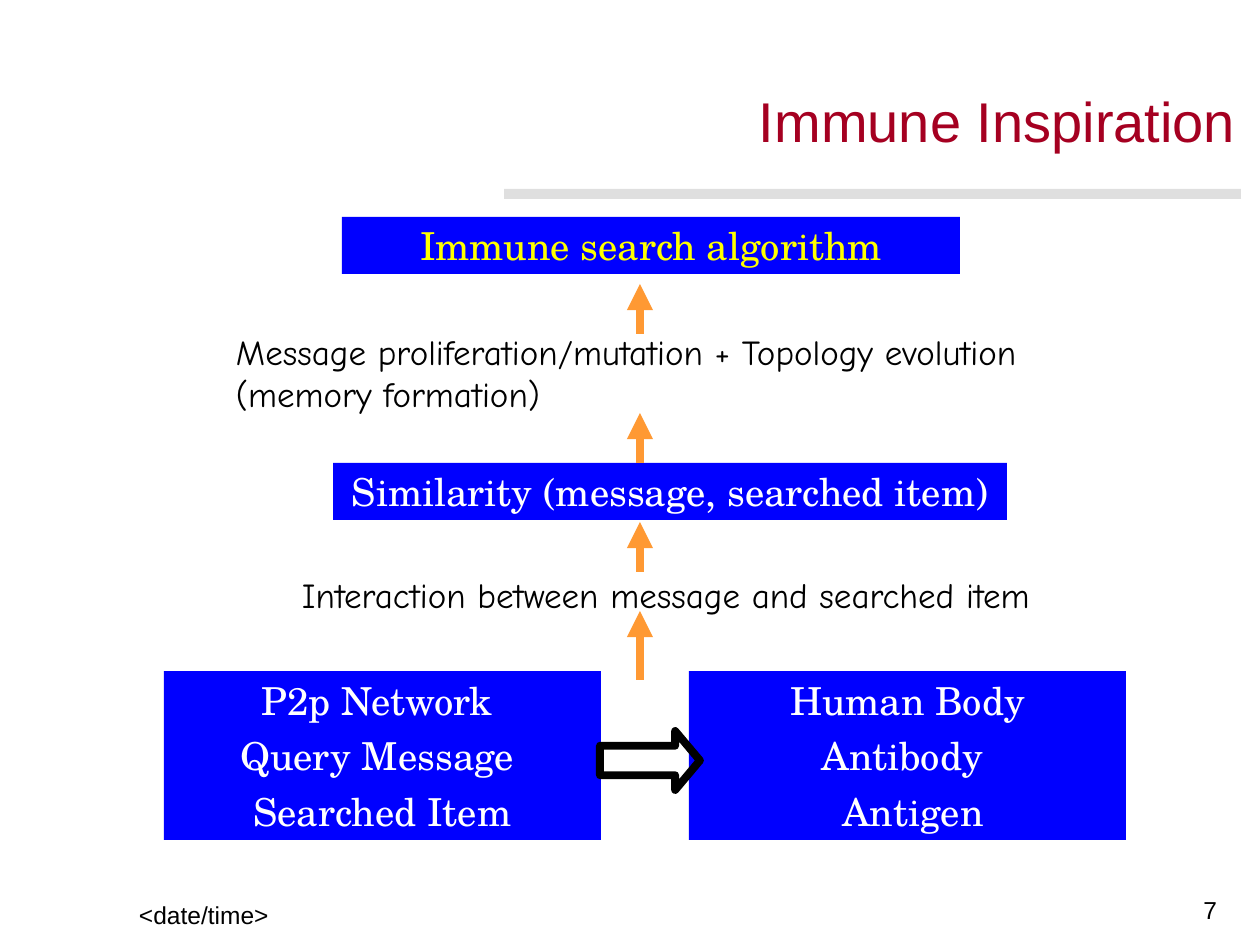
from lxml import etree
from pptx import Presentation
from pptx import util as u
from pptx.dml.color import RGBColor
from pptx.enum import shapes, text
from pptx.oxml.ns import qn

THEME = {
    "box": RGBColor(0x00, 0x00, 0xFF),
    "box_text": RGBColor(0xFF, 0xFF, 0xFF),
    "highlight": RGBColor(0xFF, 0xFF, 0x00),
    "flow": RGBColor(0xFF, 0x99, 0x33),
    "title": RGBColor(0xA5, 0x00, 0x21),
    "rule": RGBColor(0xC0, 0xC0, 0xC0),
    "ink": RGBColor(0x00, 0x00, 0x00),
    "title_pt": 32, "box_pt": 22, "note_pt": 20, "footer_pt": 14,
    "sans": "Arial", "serif": "TeX Gyre Schola", "hand": "Comic Neue",
}
A, P = text.PP_ALIGN, text.MSO_ANCHOR
EMU_PER_PX = 914400 / 126


def px(*lengths):
    return [u.Emu(round(n * EMU_PER_PX)) for n in lengths]


def write(sp, lines, font, size, color, align=A.LEFT, anchor=P.TOP, inset=(13, 6)):
    """Fill a shape with one paragraph per line."""
    tf = sp.text_frame
    dx, dy = px(*inset)
    frame = {"word_wrap": True, "vertical_anchor": anchor, "margin_left": dx,
             "margin_right": dx, "margin_top": dy, "margin_bottom": dy}
    for name, value in frame.items():
        setattr(tf, name, value)
    for i, line in enumerate(lines):
        p = tf.add_paragraph() if i else tf.paragraphs[0]
        p.text = line
        p.alignment = align
        p.space_before = u.Pt(5.5 if i else 0)
        for r in p.runs:
            for name, value in {"name": font, "size": u.Pt(size)}.items():
                setattr(r.font, name, value)
            r.font.color.rgb = color


prs = Presentation()
prs.slide_width, prs.slide_height = px(1260, 945)
s = prs.slides.add_slide(prs.slide_layouts[5])

# Title and the half-transparent rule below it
title = s.shapes.title
title.left, title.top, title.width, title.height = px(759, 96, 478, 58)
write(title, ["Immune Inspiration"], THEME["sans"], THEME["title_pt"],
      THEME["title"], inset=(0, 0))
title.text_frame.paragraphs[0].line_spacing = u.Pt(33.2)

rule = s.shapes.add_shape(shapes.MSO_SHAPE.ROUNDED_RECTANGLE, *px(504, 189, 737, 10))
rule.adjustments[0] = 0.02
rule.shadow.inherit = False
rule.fill.solid()
rule.fill.fore_color.rgb = THEME["rule"]
rule.line.fill.background()
rule_color = rule.fill._xPr.find(".//" + qn("a:srgbClr"))
etree.SubElement(rule_color, qn("a:alpha"), val="50000")

# Blue boxes
boxes = [
    ((164, 671, 437, 169), "box_text", ["P2p Network ", "Query Message ", "Searched Item"]),
    ((689, 671, 437, 169), "box_text", [" Human Body ", "Antibody ", " Antigen"]),
    ((333, 463, 674, 57), "box_text", ["Similarity (message, searched item)"]),
    ((342, 217, 618, 57), "highlight", ["Immune search algorithm"]),
]
for place, color, lines in boxes:
    sp = s.shapes.add_shape(shapes.MSO_SHAPE.RECTANGLE, *px(*place))
    sp.shadow.inherit = False
    sp.fill.solid()
    sp.fill.fore_color.rgb = THEME["box"]
    sp.line.fill.background()
    write(sp, lines, THEME["serif"], THEME["box_pt"], THEME[color],
          A.CENTER, P.MIDDLE, (11, 6))

# Outlined arrow from network to body
mapping = s.shapes.add_shape(shapes.MSO_SHAPE.RIGHT_ARROW, *px(600, 731, 100, 59))
mapping.adjustments[1] = 0.42
mapping.shadow.inherit = False
mapping.fill.background()
mapping.line.color.rgb = THEME["ink"]
mapping.line.width = u.Pt(4.5)

# Notes between the boxes, and the footer
labels = [
    ((289, 567, 757, 55), "Interaction between message and searched item",
     "hand", "note_pt", A.LEFT, P.TOP),
    ((223, 324, 932, 97),
     "Message proliferation/mutation + Topology evolution\v(memory formation)",
     "hand", "note_pt", A.LEFT, P.TOP),
    ((126, 872, 262, 63), "<date/time>", "sans", "footer_pt", A.LEFT, P.BOTTOM),
    ((968, 887, 262, 43), "7", "sans", "footer_pt", A.RIGHT, P.BOTTOM),
]
for place, words, font, size, align, anchor in labels:
    sp = s.shapes.add_textbox(*px(*place))
    write(sp, [words], THEME[font], THEME[size], THEME["ink"], align, anchor)

# Upward flow
for start, end in [(680, 611), (572, 522), (463, 413), (334, 284)]:
    flow = s.shapes.add_connector(shapes.MSO_CONNECTOR.STRAIGHT,
                                  *px(640, start, 640, end))
    flow.line.color.rgb = THEME["flow"]
    flow.line.width = u.Pt(5)
    etree.SubElement(flow.line._get_or_add_ln(), qn("a:tailEnd"), type="triangle")
    etree.SubElement(flow._element.spPr, qn("a:effectLst"))

prs.save("out.pptx")
